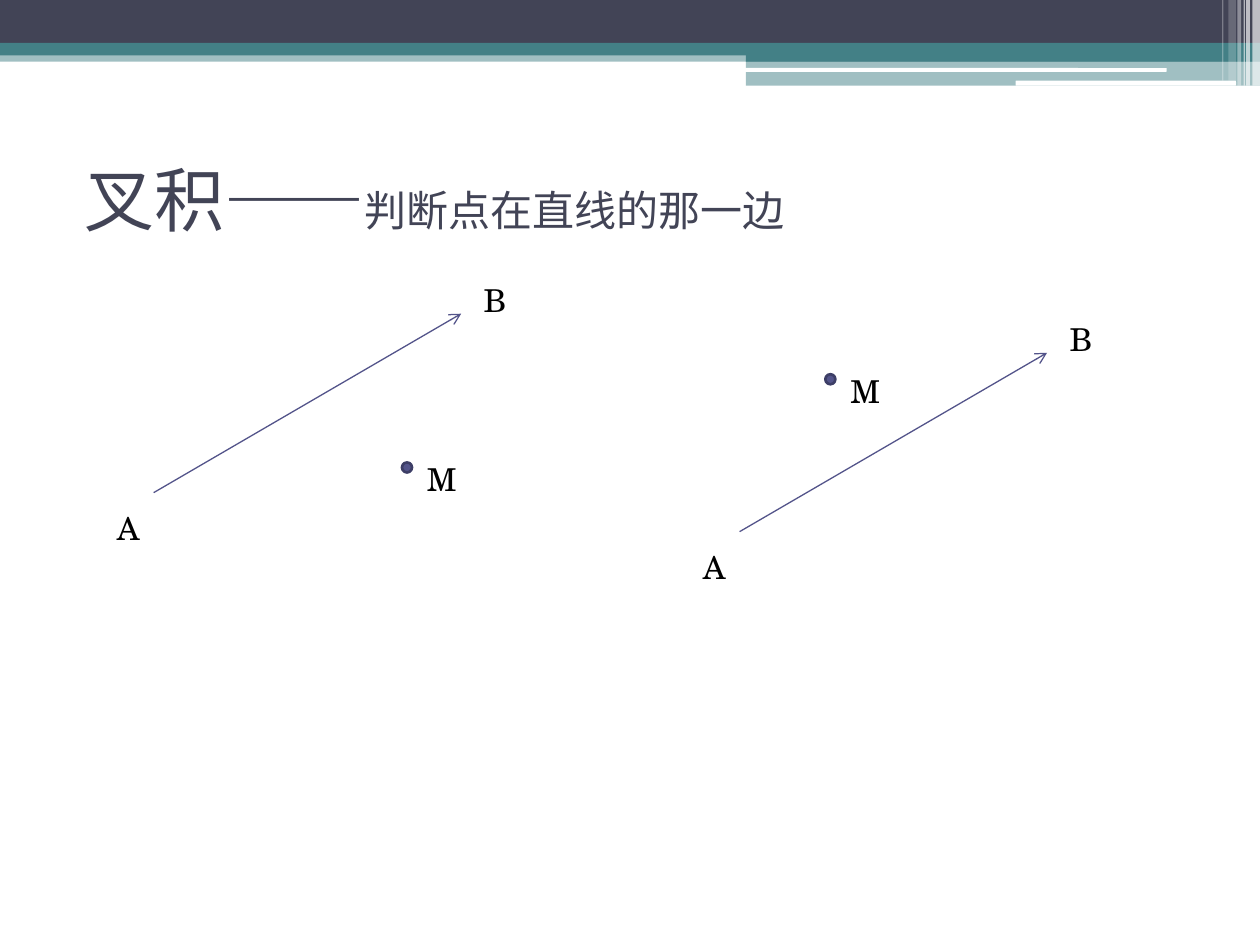
"""Build a slide on using the cross product to tell which side of a line a point is on."""
from typing import NamedTuple

from lxml import etree
from pptx import Presentation
from pptx import util as u
from pptx.dml.color import RGBColor
from pptx.enum import shapes, text
from pptx.oxml.ns import qn

WIDTH, HEIGHT = 10, 7.5
DARK, TEAL, WHITE, INDIGO, NAVY = "424456", "438086", "FFFFFF", "53548A", "3D3E66"
TITLE_FONT, LABEL_FONT = "Karla", "TeX Gyre Schola"


class Band(NamedTuple):
    x: float
    y: float
    w: float
    h: float
    color: str
    alpha: int = 100
    rounded: bool = False


class Diagram(NamedTuple):
    ax: float
    ay: float
    mx: float
    my: float


BANDS = [
    Band(0, 0.4, WIDTH, 0.09, TEAL, 50),
    Band(0, 0, WIDTH, 0.34, DARK),
    Band(0, 0.34, WIDTH, 0.1, TEAL),
    Band(5.92, 0.39, 4.08, 0.1, TEAL),
    Band(5.92, 0.48, 4.08, 0.2, TEAL, 50),
    Band(5.91, 0.54, 3.35, 0.03, WHITE, rounded=True),
    Band(8.06, 0.64, 1.75, 0.04, WHITE, rounded=True),
    Band(9.94, 0, 0.06, 0.68, WHITE, 65),
    Band(9.89, 0, 0.03, 0.68, WHITE, 65),
    Band(9.87, 0, 0.01, 0.68, WHITE, 60),
    Band(9.82, 0, 0.03, 0.68, WHITE, 40),
    Band(9.75, 0, 0.06, 0.64, WHITE, 20),
    Band(9.7, 0, 0.01, 0.64, WHITE, 30),
]
DIAGRAMS = [Diagram(1.22, 3.91, 3.19, 3.67), Diagram(5.87, 4.22, 6.55, 2.97)]
RUN, RISE, DOT = 2.44, 1.42, 0.08


def rgb(color: str) -> RGBColor:
    return RGBColor.from_string(color)


def box(*lengths: float) -> list[int]:
    return [u.Inches(v) for v in lengths]


def style_run(r, size: float, font: str, color: str) -> None:
    r.font.size, r.font.name = u.Pt(size), font
    r.font.color.rgb = rgb(color)


def draw_shape(parent, kind, x: float, y: float, w: float, h: float, color: str):
    sp = parent.add_shape(kind, *box(x, y, w, h))
    sp.shadow.inherit = False
    sp.fill.solid()
    sp.fill.fore_color.rgb = rgb(color)
    sp.line.fill.background()
    return sp


def draw_band(parent, band: Band) -> None:
    kind = shapes.MSO_SHAPE.ROUNDED_RECTANGLE if band.rounded else shapes.MSO_SHAPE.RECTANGLE
    sp = draw_shape(parent, kind, band.x, band.y, band.w, band.h, band.color)
    if band.alpha < 100:
        clr = sp.fill._xPr.find(qn("a:solidFill"))[0]
        etree.SubElement(clr, qn("a:alpha")).set("val", str(band.alpha * 1000))


def draw_label(parent, letter: str, x: float, y: float, w: float = 0.37) -> None:
    tf = parent.add_textbox(*box(x, y, w, 0.4)).text_frame
    tf.word_wrap = False
    tf.auto_size = text.MSO_AUTO_SIZE.SHAPE_TO_FIT_TEXT
    tf.text = letter
    style_run(tf.paragraphs[0].runs[0], 18, LABEL_FONT, "000000")


def draw_arrow(parent, x1: float, y1: float, x2: float, y2: float) -> None:
    cx = parent.add_connector(shapes.MSO_CONNECTOR.STRAIGHT, *box(x1, y1, x2, y2))
    cx.line.color.rgb = rgb(INDIGO)
    cx.line.width = u.Pt(0.75)
    etree.SubElement(cx.line._get_or_add_ln(), qn("a:tailEnd")).set("type", "arrow")
    etree.SubElement(cx._element.spPr, qn("a:effectLst"))


def draw_diagram(parent, d: Diagram) -> None:
    bx, by = d.ax + RUN, d.ay - RISE
    draw_arrow(parent, d.ax, d.ay, bx, by)
    draw_label(parent, "B", bx + 0.08, by - 0.31)
    draw_label(parent, "A", d.ax - 0.39, d.ay + 0.08)
    point = parent.add_group_shape().shapes
    dot = draw_shape(point, shapes.MSO_SHAPE.OVAL, d.mx, d.my, DOT, DOT, INDIGO)
    dot.line.color.rgb = rgb(NAVY)
    dot.line.width = u.Pt(1.5)
    draw_label(point, "M", d.mx + 0.1, d.my - 0.07, 0.44)


def set_title(sp) -> None:
    sp.left, sp.top, sp.width, sp.height = box(0.57, 0.99, 9, 1.17)
    tf = sp.text_frame
    tf.auto_size = text.MSO_AUTO_SIZE.NONE
    tf.vertical_anchor = text.MSO_ANCHOR.MIDDLE
    p = tf.paragraphs[0]
    p.alignment = text.PP_ALIGN.LEFT
    for words, size in (("叉积——", 40), ("判断点在直线的那一边", 24)):
        r = p.add_run()
        r.text = words
        style_run(r, size, TITLE_FONT, DARK)


def main() -> None:
    prs = Presentation()
    prs.slide_width, prs.slide_height = box(WIDTH, HEIGHT)
    s = prs.slides.add_slide(prs.slide_layouts[5])
    for band in BANDS:
        draw_band(s.shapes, band)
    set_title(s.shapes.title)
    for diagram in DIAGRAMS:
        draw_diagram(s.shapes, diagram)
    prs.save("out.pptx")


if __name__ == "__main__":
    main()
